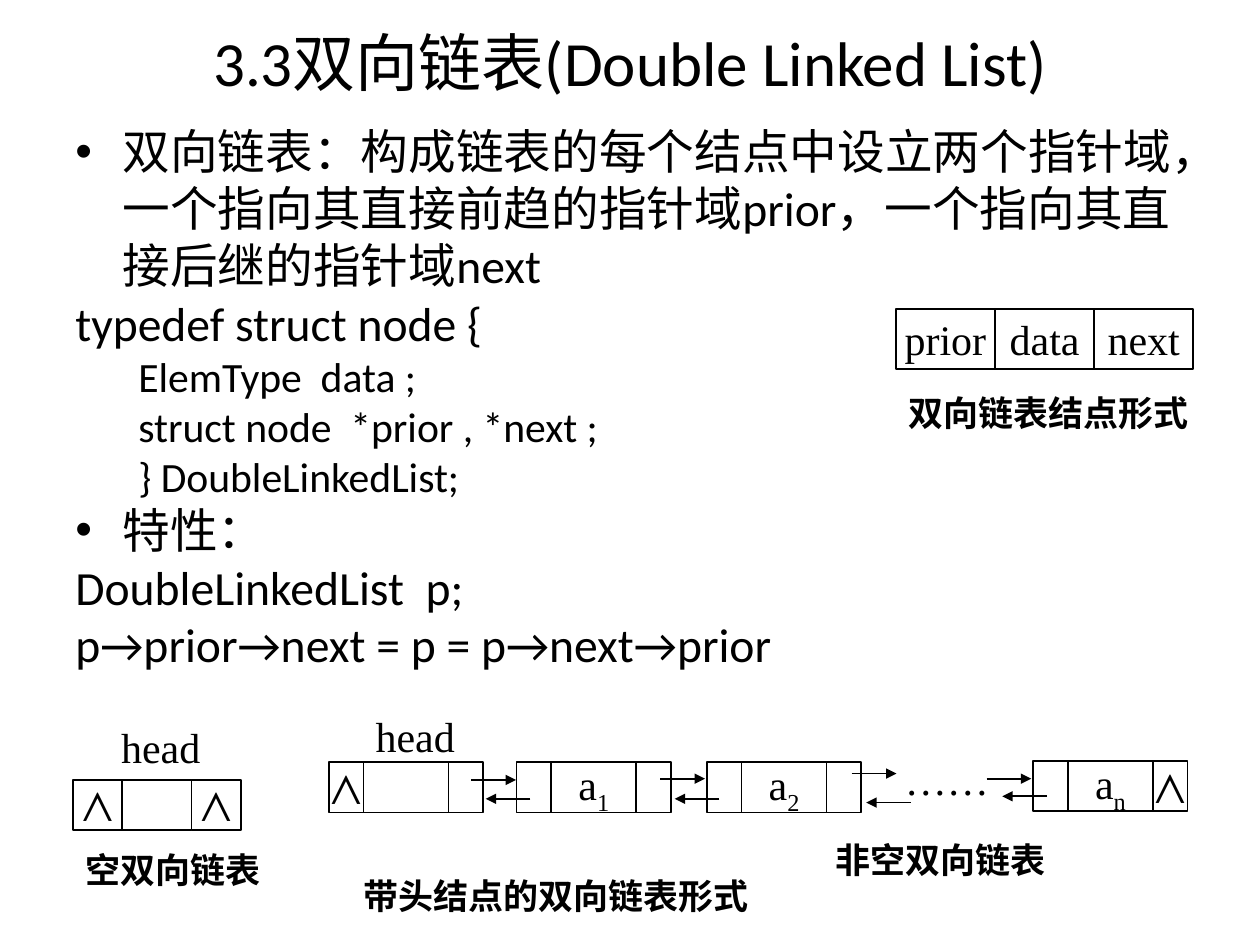
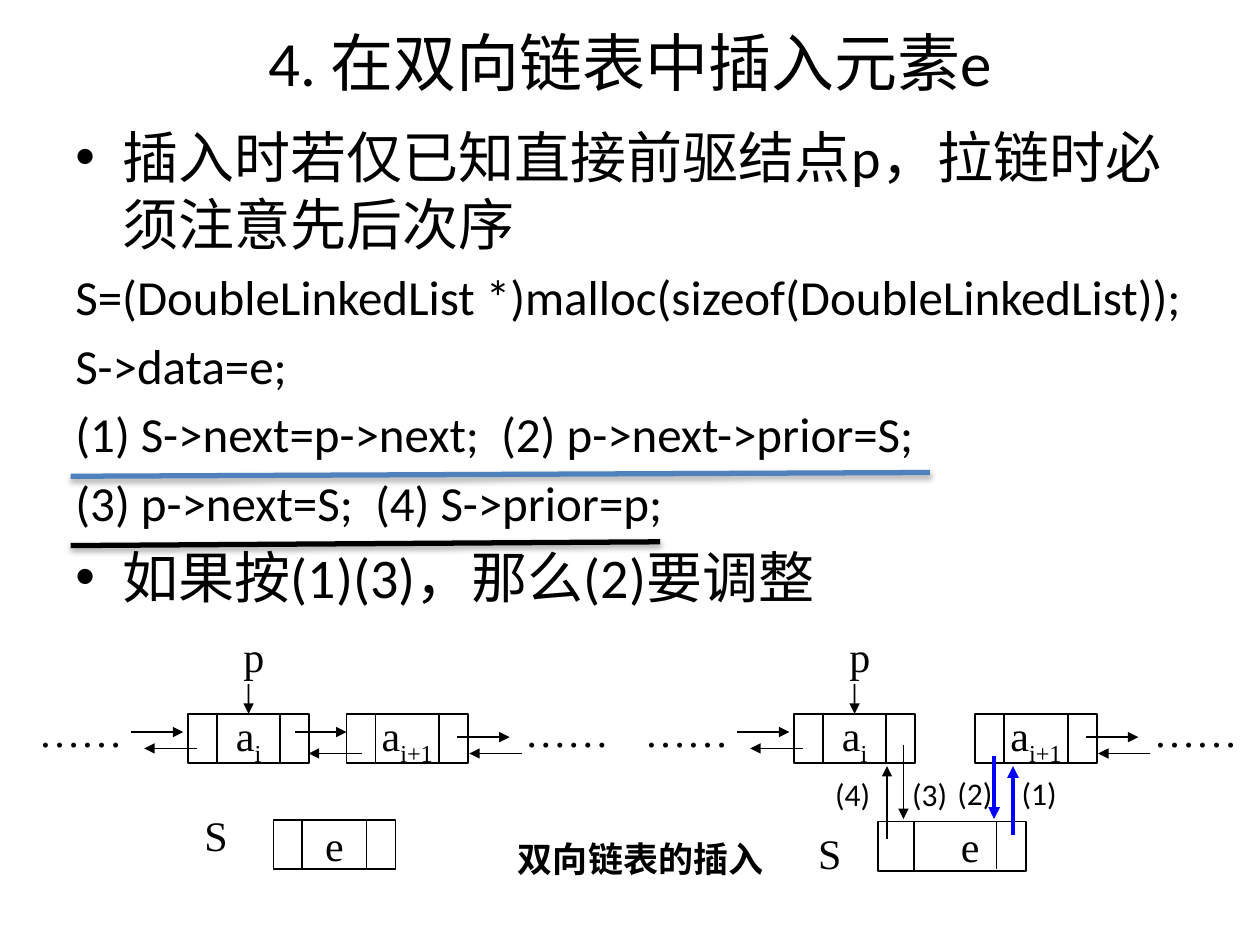
"""Build two slides on doubly linked lists: their definition and the insertion of an element."""
from typing import NamedTuple, Optional

from lxml import etree
from pptx import Presentation
from pptx import util as u
from pptx.dml.color import RGBColor
from pptx.enum import shapes, text
from pptx.oxml import parse_xml
from pptx.oxml.ns import nsdecls, qn

COLS, ROWS, CELL = 100, 75, 0.1
BLACK, BLUE, ACCENT = "000000", "0000FF", "4F81BD"
SANS, SERIF, CJK = "Calibri", "Times New Roman", "Noto Sans CJK SC"
TITLE_AT = (5, 0.6, 90, 8.6)
CENTER, LEFT = text.PP_ALIGN.CENTER, text.PP_ALIGN.LEFT
MIDDLE, TOP = text.MSO_ANCHOR.MIDDLE, text.MSO_ANCHOR.TOP
SHADOW = ('<a:effectLst {}><a:outerShdw blurRad="40000" dist="23000" dir="5400000" rotWithShape="0">'
          '<a:srgbClr val="000000"><a:alpha val="35000"/></a:srgbClr></a:outerShdw></a:effectLst>')
NO_EFFECT = "<a:effectLst {}/>"


class Para(NamedTuple):
    text: str
    size: float
    bullet: bool = False
    level: int = 0


class Label(NamedTuple):
    at: tuple
    text: str
    size: float = 24
    font: str = SERIF
    bold: bool = False
    align: text.PP_ALIGN = CENTER
    anchor: text.MSO_ANCHOR = MIDDLE
    wrap: bool = False
    inset: float = 0


class Node(NamedTuple):
    x: float
    y: float
    widths: tuple
    labels: tuple
    height: float = 4


class Line(NamedTuple):
    x1: float
    y1: float
    x2: float
    y2: float
    color: str = BLACK
    weight: float = 1
    arrow: bool = True
    shadow: bool = False


def grid(*cells: float) -> list:
    """Turn grid cells into lengths."""
    return [u.Inches(c * CELL) for c in cells]


def rgb(value: str) -> RGBColor:
    """Turn a hex string into a colour."""
    return RGBColor.from_string(value)


def apply(obj, **fmt) -> None:
    """Set each format value on an object."""
    for name, value in fmt.items():
        setattr(obj, name, value)


def add_run(p, words: str, size: float, font: str, bold: bool = False, base: int = 0) -> None:
    """Add one black run to a paragraph, lowered when base is negative."""
    r = p.add_run()
    r.text = words
    apply(r.font, size=u.Pt(size), name=font, bold=bold)
    r.font.color.rgb = rgb(BLACK)
    if base:
        r.font._element.set("baseline", str(base))


def add_title(slide, words: str) -> None:
    """Place and format the title placeholder."""
    sp = slide.shapes.title
    apply(sp, **dict(zip(("left", "top", "width", "height"), grid(*TITLE_AT))))
    sp.text_frame.vertical_anchor = MIDDLE
    p = sp.text_frame.paragraphs[0]
    p.alignment = CENTER
    add_run(p, words, 36, SANS)


def add_body(slide, height: float, paras: list, before: float = 0) -> None:
    """Write the body, with space before as a share of the text size."""
    tf = slide.shapes.add_textbox(*grid(5, 9.2, 90, height)).text_frame
    tf.word_wrap = True
    for i, para in enumerate(paras):
        p = tf.add_paragraph() if i else tf.paragraphs[0]
        apply(p, level=para.level, space_before=u.Pt(para.size * before if i else 0))
        pPr = p._p.get_or_add_pPr()
        indent = u.Inches(0.375) if para.bullet else 0
        pPr.set("marL", str(indent + u.Inches(0.5) * para.level))
        pPr.set("indent", str(-indent))
        if para.bullet:
            etree.SubElement(pPr, qn("a:buFont")).set("typeface", "Arial")
            etree.SubElement(pPr, qn("a:buChar")).set("char", "•")
        add_run(p, para.text, para.size, SANS)


def add_label(slide, label: Label) -> None:
    """Write a free label of the diagram."""
    tf = slide.shapes.add_textbox(*grid(*label.at)).text_frame
    inset, = grid(label.inset)
    apply(tf, word_wrap=label.wrap, vertical_anchor=label.anchor, margin_left=inset, margin_right=inset)
    p = tf.paragraphs[0]
    p.alignment = label.align
    add_run(p, label.text, label.size, label.font, label.bold)


def add_node(slide, node: Node) -> list:
    """Draw a list node as adjoining cells; an underscore starts a subscript."""
    cells, x = [], node.x
    for width, label in zip(node.widths, node.labels):
        sp = slide.shapes.add_shape(shapes.MSO_SHAPE.RECTANGLE, *grid(x, node.y, width, node.height))
        sp.shadow.inherit = False
        sp.fill.background()
        sp.line.color.rgb = rgb(BLACK)
        sp.line.width = u.Pt(1)
        if label:
            tf = sp.text_frame
            apply(tf, word_wrap=False, vertical_anchor=MIDDLE)
            p = tf.paragraphs[0]
            p.alignment = CENTER
            name, _, index = label.partition("_")
            add_run(p, name, 24, SERIF)
            if index:
                add_run(p, index, 24, SERIF, base=-25000)
        cells.append(sp)
        x += width
    return cells


def add_line(slide, line: Line, target: Optional[object] = None) -> None:
    """Draw a line or arrow, joined to the top of a target if there is one."""
    ends = grid(line.x1, line.y1, line.x2, line.y2)
    cx = slide.shapes.add_connector(shapes.MSO_CONNECTOR.STRAIGHT, *ends)
    if target is not None:
        cx.end_connect(target, 0)
    cx.line.color.rgb = rgb(line.color)
    cx.line.width = u.Pt(line.weight)
    if line.arrow:
        etree.SubElement(cx.line._get_or_add_ln(), qn("a:tailEnd")).set("type", "triangle")
    effect = SHADOW if line.shadow else NO_EFFECT
    cx._element.spPr.append(parse_xml(effect.format(nsdecls("a"))))


def draw(slide, nodes: list, lines: list, labels: list) -> None:
    """Draw the parts of a diagram, nodes first."""
    for add, parts in ((add_node, nodes), (add_line, lines), (add_label, labels)):
        for part in parts:
            add(slide, part)


def build_definition(slide) -> None:
    """Show what a doubly linked list is."""
    add_title(slide, "3.3双向链表(Double Linked List)")
    big, small = 27.2, 23.8
    add_body(slide, 46, [
        Para("双向链表：构成链表的每个结点中设立两个指针域，一个指向其直接前趋的指针域prior，"
             "一个指向其直接后继的指针域next", big, bullet=True),
        Para("typedef struct node {", big),
        Para("ElemType  data ;", small, level=1),
        Para("struct node  *prior , *next ;", small, level=1),
        Para("} DoubleLinkedList;", small, level=1),
        Para("特性：", big, bullet=True),
        Para("DoubleLinkedList  p;", big),
        Para("p→prior→next = p = p→next→prior", big),
    ])
    widths = (2.75, 6.75, 2.75)
    nodes = [
        Node(71.1, 24.5, (7.87,) * 3, ("prior", "data", "next"), 4.8),
        Node(5.8, 61.9, (3.9, 5.5, 3.9), ("⋀", "", "⋀")),
        Node(26.1, 60.5, widths, ("⋀", "", "")),
        Node(41, 60.5, widths, ("", "a_1", "")),
        Node(56.1, 60.5, widths, ("", "a_2", "")),
        Node(82, 60.4, widths, ("", "a_n", "⋀")),
    ]
    step = 3.55
    nexts = ((37.4, 61.9), (52.4, 61.8), (67.6, 61.4), (78.3, 61.8))
    priors = ((42.1, 63.4), (57.1, 63.4), (72.3, 63.7), (83.1, 63.2))
    lines = [Line(x, y, x + d, y) for ends, d in ((nexts, step), (priors, -step)) for x, y in ends]
    draw(slide, nodes, lines, [
        Label((71.1, 30.9, 24.8, 3.7), "双向链表结点形式", 20, CJK, True, LEFT, wrap=True, inset=1),
        Label((71.6, 59.8, 7.1, 4), "……"),
        Label((29.4, 56.4, 7.1, 4), "head"),
        Label((9, 57.3, 7.5, 4), "head"),
        Label((65.6, 66.2, 18.1, 4), "非空双向链表", 20, bold=True),
        Label((5.9, 67, 15.7, 4), "空双向链表", 20, bold=True),
        Label((18.7, 68.9, 50.9, 4.4), "带头结点的双向链表形式", 20, CJK, True, wrap=True, inset=1),
    ])


def add_neighbours(slide, left: float, right: float) -> None:
    """Draw the nodes around the insertion point, each side shifted by its own columns."""
    widths, y, step = (2.3, 5.05, 2.3), 56.65, 4.15
    cells = add_node(slide, Node(14.9 + left, y, widths, ("", "a_i", ""), 3.9))
    pointer_x = 19.73 + left
    add_line(slide, Line(pointer_x, 54.3, pointer_x, y), cells[1])
    draw(slide, [Node(27.5 + right, y, widths, ("", "a_i+1", ""), 3.9)], [
        Line(10.4 + left, 58.1, 10.4 + left + step, 58.1),
        Line(15.6 + left, 59.4, 15.6 + left - step, 59.4),
        Line(36.3 + right, 58.5, 36.3 + right + step, 58.5),
        Line(41.4 + right, 59.8, 41.4 + right - step, 59.8),
    ], [
        Label((18.2 + left, 50.1, 3.9, 3.9), "p"),
        Label((2.5 + left, 56, 7.8, 3.9), "……"),
        Label((41.1 + right, 56, 7.8, 3.9), "……"),
    ])


def build_insertion(slide) -> None:
    """Show how an element is inserted."""
    add_title(slide, "4. 在双向链表中插入元素e")
    add_body(slide, 41.7, [
        Para("插入时若仅已知直接前驱结点p，拉链时必须注意先后次序", 32, bullet=True),
        Para("S=(DoubleLinkedList *)malloc(sizeof(DoubleLinkedList));", 28),
        Para("S->data=e;", 28),
        Para("(1) S->next=p->next;  (2) p->next->prior=S;", 28),
        Para("(3) p->next=S;  (4) S->prior=p;", 28),
        Para("如果按(1)(3)，那么(2)要调整", 32, bullet=True),
    ], before=0.2)
    for left, right in ((0, 0), (48.1, 49.9)):
        add_neighbours(slide, left, right)
    steps = [Label((x, y, 4.9, 4), f"({n})", 18, SANS, align=LEFT, anchor=TOP, wrap=n > 1, inset=1)
             for n, x, y in ((1, 80.1, 60.9), (2, 75, 60.9), (3, 71.4, 61), (4, 65.3, 61))]
    draw(slide, [
        Node(21.7, 65.1, (2.3, 5.1, 2.3), ("", "e", ""), 3.9),
        Node(69.7, 65.2, (2.85, 8.9), ("", "e"), 3.9),
    ], [
        Line(23.4, 58.1, 27.5, 58.1),
        Line(28.7, 59.8, 24.5, 59.8),
        Line(80.4, 66.3, 80.4, 60.8, BLUE, 2.25),
        Line(78.9, 60, 78.9, 65, BLUE, 2.25),
        Line(71.7, 59.1, 71.7, 65, weight=0.75),
        Line(70.4, 66.6, 70.4, 60.8, weight=0.75),
        Line(79.1, 65.2, 79.1, 69, weight=0.75, arrow=False),
        Line(5.6, 37.8, 73.8, 37.5, ACCENT, 3, arrow=False, shadow=True),
        Line(5.6, 43.3, 52.4, 43, BLACK, 3, arrow=False, shadow=True),
    ], [
        Label((63.4, 66.1, 4.9, 3.1), "S"),
        Label((15.2, 64.7, 3.9, 3.1), "S"),
        Label((35.1, 66.6, 31.5, 3.1), "双向链表的插入", 20, CJK, True, wrap=True, inset=1),
        *steps,
    ])


def main() -> None:
    """Build and save the slides."""
    prs = Presentation()
    prs.slide_width, prs.slide_height = grid(COLS, ROWS)
    for build in (build_definition, build_insertion):
        build(prs.slides.add_slide(prs.slide_layouts.get_by_name("Title Only")))
    prs.save("out.pptx")


if __name__ == "__main__":
    main()
